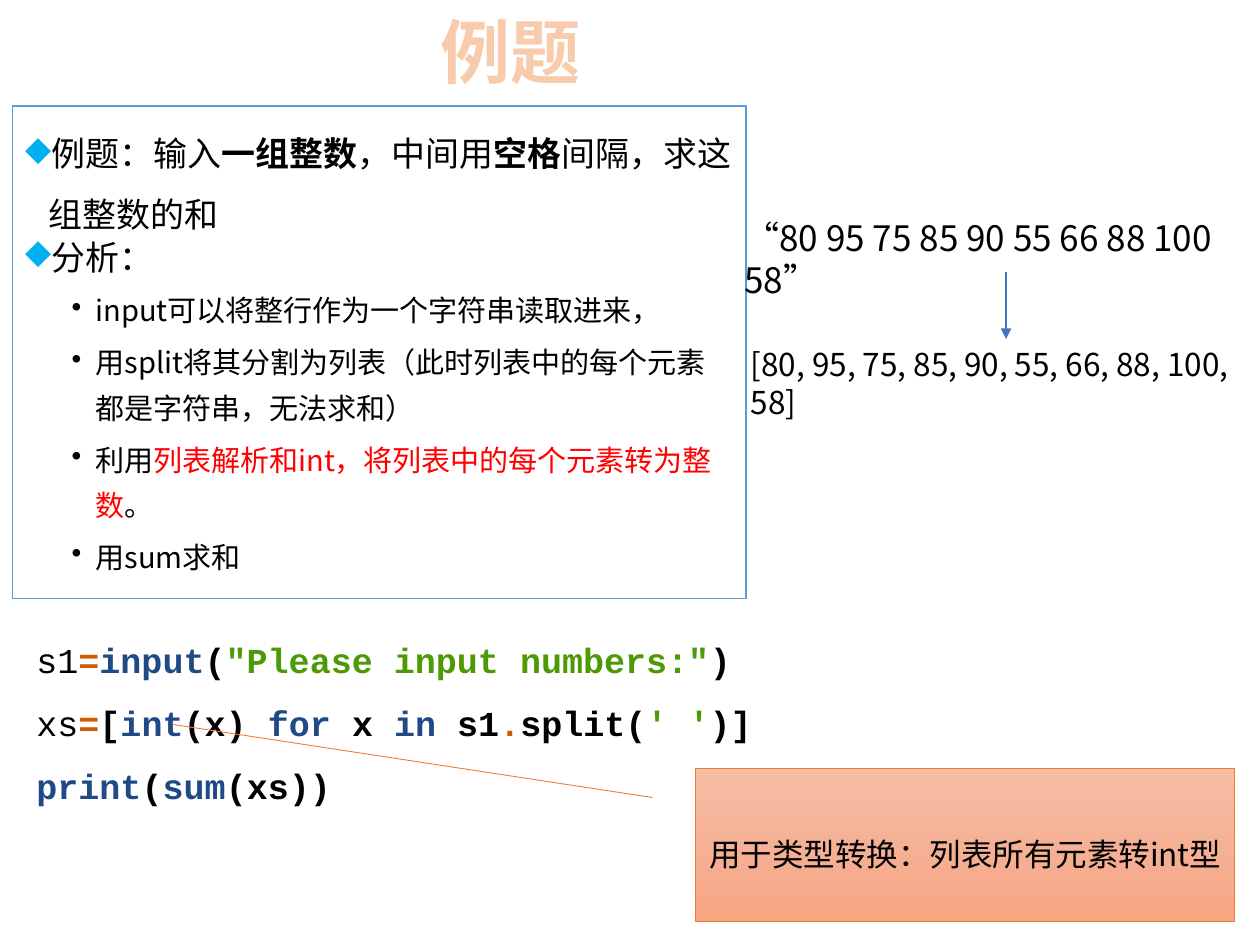
from lxml import etree
from pptx import Presentation
from pptx import util as u
from pptx.dml import color
from pptx.enum import shapes, text
from pptx.oxml import ns

COLUMNS, ROWS = 100, 75
SLIDE_WIDTH, SLIDE_HEIGHT = u.Inches(10), u.Inches(7.5)
SANS, MONO = "Noto Sans CJK SC", "Courier New"
BLACK, RED, ORANGE = "000000", "FF0000", "ED7D31"
OPERATOR, KEYWORD, STRING = "CE5C00", "204A87", "4E9A06"

TASK = [("例题：输入", BLACK, False), ("一组整数", BLACK, True), ("，中间用", BLACK, False),
        ("空格", BLACK, True), ("间隔，求这组整数的和", BLACK, False)]
STEPS = [
    [("input可以将整行作为一个字符串读取进来，", BLACK, False)],
    [("用split将其分割为列表（此时列表中的每个元素都是字符串，无法求和）", BLACK, False)],
    [("利用", BLACK, False), ("列表解析和int，将列表中的每个元素转为整数", RED, False),
     ("。", BLACK, False)],
    [("用sum求和", BLACK, False)],
]
CODE = [
    [("s1", BLACK, False), ("=", OPERATOR, True), ("input", KEYWORD, True), ("(", BLACK, True),
     ('"Please input numbers:"', STRING, True), (")", BLACK, True)],
    [("xs", BLACK, False), ("=", OPERATOR, True), ("[", BLACK, True), ("int", KEYWORD, True),
     ("(x) ", BLACK, True), ("for ", KEYWORD, True), ("x ", BLACK, True), ("in ", KEYWORD, True),
     ("s1", BLACK, True), (".", OPERATOR, True), ("split(", BLACK, True),
     ("' '", STRING, True), (")]", BLACK, True)],
    [("print", KEYWORD, True), ("(", BLACK, True), ("sum", KEYWORD, True),
     ("(xs))", BLACK, True)],
]


def rgb(value):
    """Turn a hex string into a colour."""
    return color.RGBColor.from_string(value)


def grid(*lengths):
    """Turn alternating column and row counts into slide lengths."""
    units = (SLIDE_WIDTH / COLUMNS, SLIDE_HEIGHT / ROWS)
    return [round(length * units[i % 2]) for i, length in enumerate(lengths)]


def element(parent, tag, **attributes):
    """Append a drawing element with the given attributes."""
    return etree.SubElement(parent, ns.qn(tag), attributes)


def write(frame, lines, size, font=SANS, spacing=1.0, align=text.PP_ALIGN.LEFT):
    """Write lines of (words, colour, bold) runs and return their paragraphs."""
    start = len(frame.paragraphs) if frame.text else 0
    for line in lines:
        paragraph = frame.add_paragraph() if frame.text else frame.paragraphs[0]
        paragraph.alignment, paragraph.line_spacing = align, spacing
        paragraph.font.size, paragraph.font.name = u.Pt(size), font
        element(paragraph.font._element, "a:ea", typeface=font)
        for words, hue, bold in line:
            run = paragraph.add_run()
            run.text, run.font.bold = words, bold
            run.font.color.rgb = rgb(hue)
    return frame.paragraphs[start:]


def bullet(paragraph, mark, margin, before, hue=None):
    """Give a paragraph a hanging bullet and space before it."""
    paragraph.space_before = u.Pt(before)
    properties = paragraph._p.get_or_add_pPr()
    properties.set("marL", str(u.Inches(margin)))
    properties.set("indent", str(u.Inches(-0.19)))
    marks = []
    if hue:
        marks.append(etree.Element(ns.qn("a:buClr")))
        element(marks[0], "a:srgbClr", val=hue)
    marks.append(etree.Element(ns.qn("a:buChar"), char=mark))
    for part in marks:
        properties.find(ns.qn("a:defRPr")).addprevious(part)


def text_box(slide, place, lines, size, wrap=True, **style):
    """Add a text box that grows with its lines."""
    box = slide.shapes.add_textbox(*grid(*place))
    box.text_frame.word_wrap = wrap
    box.text_frame.auto_size = text.MSO_AUTO_SIZE.SHAPE_TO_FIT_TEXT
    write(box.text_frame, lines, size, **style)
    return box


def framed(slide, preset, place, hue, width, anchor):
    """Add an outlined preset shape without a shadow."""
    shape = slide.shapes.add_shape(preset, *grid(*place))
    shape.shadow.inherit = False
    shape.line.color.rgb, shape.line.width = rgb(hue), u.Pt(width)
    shape.text_frame.word_wrap = True
    shape.text_frame.vertical_anchor = anchor
    return shape


def add_title(slide):
    """Add the outlined heading."""
    heading = text_box(slide, (33.9, 0.2, 13.2, 7.7), [[("例题", "F8CBAD", True)]], 40,
                       wrap=False, align=text.PP_ALIGN.CENTER)
    properties = heading.text_frame.paragraphs[0].runs[0].font._element
    outline = etree.Element(ns.qn("a:ln"), w=str(u.Pt(1.75)))
    element(element(outline, "a:solidFill"), "a:srgbClr", val=ORANGE)
    properties.insert(0, outline)


def add_analysis(slide):
    """Add the framed task with its analysis steps."""
    panel = framed(slide, shapes.MSO_SHAPE.RECTANGLE, (1, 8.4, 58.2, 39.1),
                   "5B9BD5", 0.75, text.MSO_ANCHOR.TOP)
    panel.fill.background()
    frame = panel.text_frame
    for line, spacing in ((TASK, 1.5), ([("分析：", BLACK, False)], 0.7)):
        for topic in write(frame, [line], 19.4, spacing=spacing):
            bullet(topic, "◆", 0.19, 7.5, "00B0F0")
    for step in write(frame, STEPS, 16.6, spacing=1.3):
        step.level = 1
        bullet(step, "•", 0.56, 3.8)


def add_callout(slide):
    """Add the gradient callout that points at the int conversion."""
    callout = framed(slide, shapes.MSO_SHAPE.LINE_CALLOUT_1, (55.2, 61, 42.8, 12.1),
                     ORANGE, 0.5, text.MSO_ANCHOR.MIDDLE)
    for i, share in enumerate((0.19, -0.08, -0.29, -0.97)):
        callout.adjustments[i] = share
    callout.fill.gradient()
    callout.fill.gradient_angle = 270
    stops = callout._element.spPr.find(".//" + ns.qn("a:gsLst"))
    for stop in list(stops):
        stops.remove(stop)
    for percent, hue in ((0, "F7BDA5"), (50, "F5B196"), (100, "F8A582")):
        stop = element(stops, "a:gs", pos=str(percent * 1000))
        element(stop, "a:srgbClr", val=hue)
    write(callout.text_frame, [[("用于类型转换：列表所有元素转int型", BLACK, False)]], 18,
          spacing=1.5, align=text.PP_ALIGN.CENTER)


def add_conversion(slide):
    """Add the input string, the number list and the arrow between them."""
    numbers = text_box(slide, (58.6, 26.9, 42.5, 4),
                       [[("[80, 95, 75, 85, 90, 55, 66, 88, 100, 58]", BLACK, False)]], 18)
    middle = numbers.left + numbers.width // 2
    arrow = slide.shapes.add_connector(shapes.MSO_CONNECTOR.STRAIGHT, middle,
                                       grid(0, 21.6)[1], middle, numbers.top)
    arrow.end_connect(numbers, 0)
    arrow.line.color.rgb, arrow.line.width = rgb("4472C4"), u.Pt(1.5)
    element(arrow.line._get_or_add_ln(), "a:tailEnd", type="triangle")
    element(arrow._element.spPr, "a:effectLst")
    text_box(slide, (58.1, 16.7, 41.9, 4.4),
             [[("“80 95 75 85 90 55 66 88 100 58”", BLACK, False)]], 20, wrap=False)


def main():
    """Build the slide and save it."""
    deck = Presentation()
    deck.slide_width, deck.slide_height = SLIDE_WIDTH, SLIDE_HEIGHT
    slide = deck.slides.add_slide(deck.slide_layouts[6])
    add_analysis(slide)
    text_box(slide, (1.9, 48.5, 67.5, 16.2), CODE, 20, font=MONO, spacing=1.5)
    add_title(slide)
    add_callout(slide)
    add_conversion(slide)
    deck.save("out.pptx")


if __name__ == "__main__":
    main()
